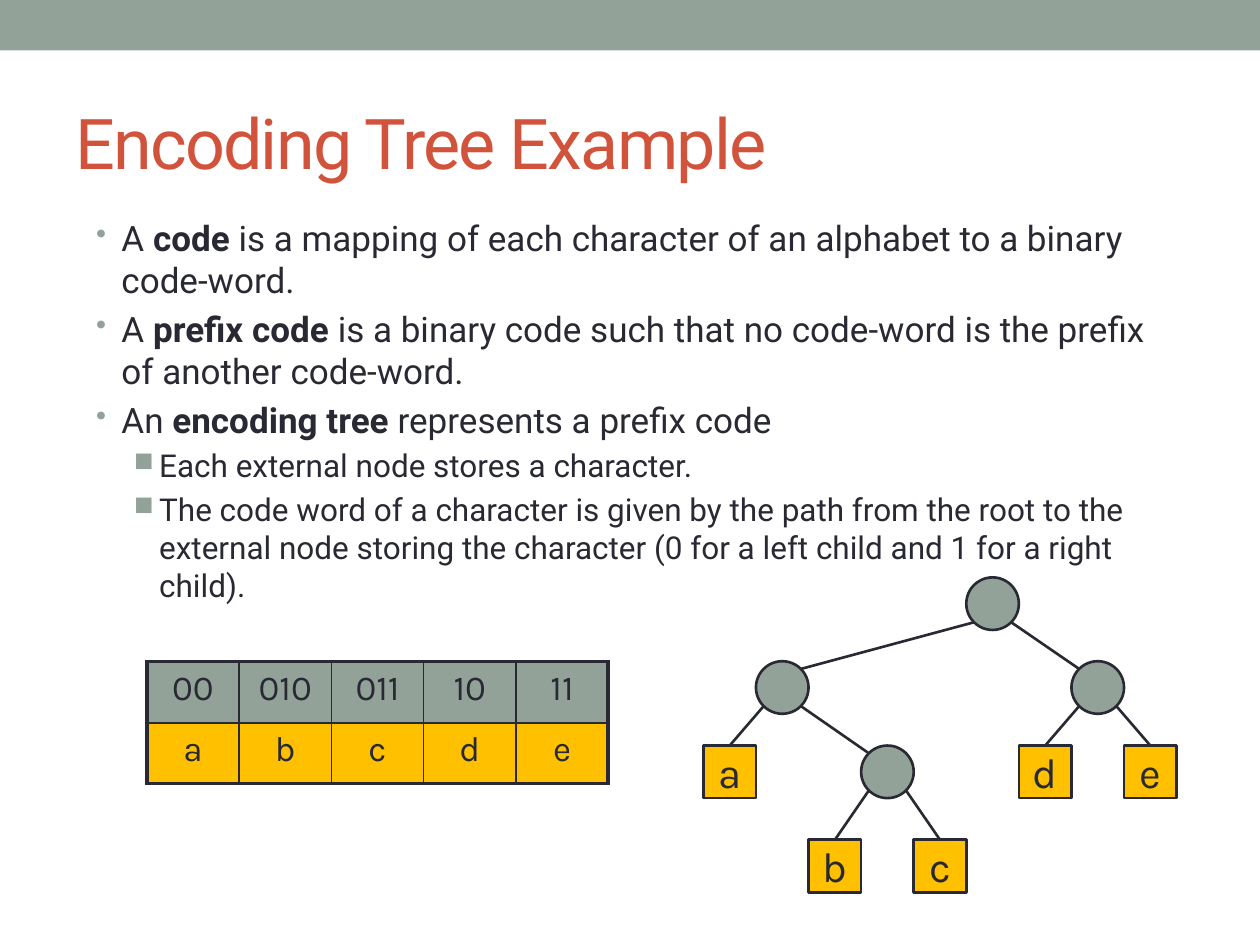
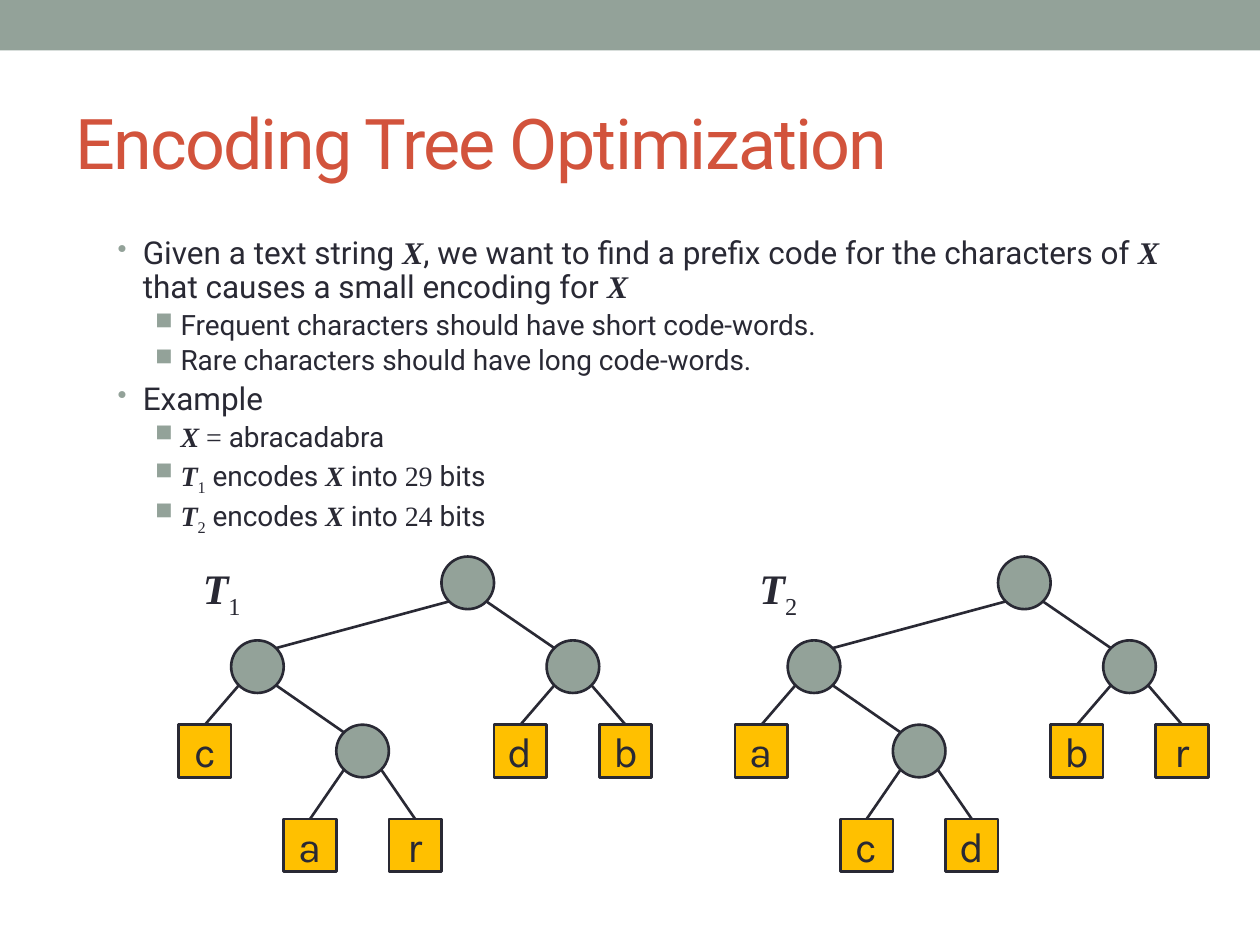
import dataclasses
import math

import lxml.etree
import pptx
import pptx.dml.color
import pptx.enum.shapes
import pptx.enum.text
import pptx.oxml.ns
import pptx.util

Cm, Pt = pptx.util.Cm, pptx.util.Pt
qn = pptx.oxml.ns.qn
ALIGN = pptx.enum.text.PP_ALIGN
ANCHOR = pptx.enum.text.MSO_ANCHOR
FIT = pptx.enum.text.MSO_AUTO_SIZE
SHAPE = pptx.enum.shapes.MSO_SHAPE
LINE = pptx.enum.shapes.MSO_CONNECTOR


@dataclasses.dataclass(frozen=True)
class Theme:
    sage: str = "93A299"
    ink: str = "292934"
    red: str = "D2533C"
    gold: str = "FFC000"
    sans: str = "Roboto"
    label: str = "Karla"
    serif: str = "Times New Roman"
    title: int = 40
    node: int = 24
    cell: int = 20
    edge: float = 1.5
    thin: float = 1
    thick: float = 2.25


T = Theme()

# Run styles: font values, plus "base" for subscripts
STYLES = {
    "": {"name": T.sans},
    "bold": {"name": T.sans, "bold": True},
    "var": {"name": T.serif, "bold": True, "italic": True},
    "math": {"name": T.serif},
    "sub": {"name": T.serif, "base": -25000},
}
BULLETS = (("•", 0.51), ("■", 1.27))  # mark and left margin for each level
HANG = 0.51

# Each point is a level and its runs; a run is plain text or (text, style)
X = ("X", "var")


def result(index, bits):
    return (1, [("T", "var"), (index, "sub"), " encodes ", X, " into ", (bits, "math"), " bits"])


CODES = {"00": "a", "010": "b", "011": "c", "10": "d", "11": "e"}
TABLE = {"left": 2.96, "top": 13.34, "col": 1.86, "row": 1.23}

# A tree is a (left, right) pair, a leaf is its letter
SLIDES = [
    {
        "title": "Encoding Tree Example",
        "box": (1.69, 4.23, 22.23, 8.26),
        "sizes": (20, 18),
        "spacing": 1.0,
        "points": [
            (0, ["A ", ("code", "bold"),
                 " is a mapping of each character of an alphabet to a binary code-word."]),
            (0, ["A ", ("prefix code", "bold"),
                 " is a binary code such that no code-word is the prefix of another code-word."]),
            (0, ["An ", ("encoding tree", "bold"), " represents a prefix code"]),
            (1, ["Each external node stores a character."]),
            (1, ["The code word of a character is given by the path from the root to the external "
                 "node storing the character (0 for a left child and 1 for a right child)."]),
        ],
        "trees": [{"at": (14.18, 11.64), "root": (("a", ("b", "c")), ("d", "e"))}],
        "codes": CODES,
    },
    {
        "title": "Encoding Tree Optimization",
        "box": (2.12, 4.66, 21.59, 6.35),
        "sizes": (18, 16),
        "spacing": 0.9,
        "points": [
            (0, ["Given a text string ", X, ", we want to find a prefix code for the characters of ",
                 X, " that causes a small encoding for ", X]),
            (1, ["Frequent characters should have short code-words."]),
            (1, ["Rare characters should have long code-words."]),
            (0, ["Example"]),
            (1, [("X ", "var"), ("= ", "math"), "abracadabra"]),
            result("1", "29"),
            result("2", "24"),
        ],
        "trees": [
            {"at": (3.6, 11.22), "root": (("c", ("a", "r")), ("d", "b")), "index": "1"},
            {"at": (14.82, 11.22), "root": (("a", ("c", "d")), ("b", "r")), "index": "2"},
        ],
    },
]

NODE = 1.06  # node side, also the step between tree columns
ROWS = (0, 1.69, 3.39, 5.29)  # top of each tree level


def color(code):
    return pptx.dml.color.RGBColor.from_string(code)


def apply(thing, values):
    for key, value in values.items():
        setattr(thing, key, value)


def write(para, text, size, style, ink=T.ink):
    values = dict(style)
    base = values.pop("base", None)
    run = para.add_run()
    run.text = text
    apply(run.font, {"size": Pt(size), **values})
    run.font.color.rgb = color(ink)
    props = run._r.get_or_add_rPr()
    if base:
        props.set("baseline", str(base))
    return props


def textbox(slide, box, **values):
    frame = slide.shapes.add_textbox(*map(Cm, box)).text_frame
    apply(frame, {"word_wrap": True, **values})
    return frame


def block(shapes, kind, box, fill, edge=None):
    """Add a flat filled shape, outlined when edge is a width."""
    shape = shapes.add_shape(kind, *map(Cm, box))
    shape.shadow.inherit = False
    shape.fill.solid()
    shape.fill.fore_color.rgb = color(fill)
    if edge:
        shape.line.color.rgb = color(T.ink)
        shape.line.width = Pt(edge)
    else:
        shape.line.fill.background()
    return shape


def bullet(para, level):
    mark, left = BULLETS[level]
    props = para._p.get_or_add_pPr()
    props.set("marL", str(Cm(left)))
    props.set("indent", str(-Cm(HANG)))
    tint = lxml.etree.SubElement(props, qn("a:buClr"))
    lxml.etree.SubElement(tint, qn("a:srgbClr"), val=T.sage)
    lxml.etree.SubElement(props, qn("a:buSzPct"), val="85000")
    lxml.etree.SubElement(props, qn("a:buChar"), char=mark)


def outline(slide, data):
    """Write the bulleted points of a slide."""
    frame = textbox(slide, data["box"])
    for num, (level, runs) in enumerate(data["points"]):
        para = frame.add_paragraph() if num else frame.paragraphs[0]
        size = data["sizes"][level]
        apply(para, {"level": level, "line_spacing": data["spacing"],
                     "space_before": Pt(size * 0.2)})
        bullet(para, level)
        for run in runs:
            text, style = (run, "") if isinstance(run, str) else run
            write(para, text, size, STYLES[style])


def link(group, start, end):
    edge = group.add_connector(LINE.STRAIGHT, *map(Cm, start + end))
    edge.line.color.rgb = color(T.ink)
    edge.line.width = Pt(T.edge)
    lxml.etree.SubElement(edge._element.spPr, qn("a:effectLst"))


def leaf(group, box, letter):
    frame = block(group, SHAPE.RECTANGLE, box, T.gold, T.edge).text_frame
    apply(frame, {"word_wrap": False, "vertical_anchor": ANCHOR.MIDDLE})
    para = frame.paragraphs[0]
    para.alignment = ALIGN.CENTER
    write(para, letter, T.node, {"name": T.label})


def grow(group, node, at, col=0, depth=0):
    """Draw a subtree in order; return its node's centre and the next free column."""
    inner = not isinstance(node, str)
    if inner:
        left, col = grow(group, node[0], at, col, depth + 1)
    x, y = at[0] + col * NODE, at[1] + ROWS[depth]
    box = (x, y, NODE, NODE)
    mid = (x + NODE / 2, y + NODE / 2)
    if not inner:
        leaf(group, box, node)
        return mid, col + 1
    block(group, SHAPE.OVAL, box, T.sage, T.edge)
    right, last = grow(group, node[1], at, col + 1, depth + 1)
    reach = NODE / 2 * math.sqrt(0.5)
    for child, end, side in zip(node, (left, right), (-1, 1)):
        start = (mid[0] + side * reach, mid[1] + reach)
        if isinstance(child, str):
            end = (end[0], end[1] - NODE / 2)
        else:
            end = (end[0] - side * reach, end[1] - reach)
        link(group, start, end)
    return mid, last


def tree(slide, data):
    x, y = data["at"]
    grow(slide.shapes.add_group_shape().shapes, data["root"], (x, y))
    if "index" in data:
        frame = textbox(slide, (x + 0.21, y, 1.32, 1.27), word_wrap=False,
                        auto_size=FIT.SHAPE_TO_FIT_TEXT)
        para = frame.paragraphs[0]
        para.alignment = ALIGN.CENTER
        write(para, "T", T.node, STYLES["var"])
        write(para, data["index"], T.node, STYLES["sub"])


def border(cell, thick):
    """Rule all four sides, heavier on the sides named in thick."""
    props = cell._tc.get_or_add_tcPr()
    for num, side in enumerate("LRTB"):
        width = T.thick if side in thick else T.thin
        rule = lxml.etree.Element(qn(f"a:ln{side}"), w=str(Pt(width)))
        fill = lxml.etree.SubElement(rule, qn("a:solidFill"))
        lxml.etree.SubElement(fill, qn("a:srgbClr"), val=T.ink)
        props.insert(num, rule)


def table(slide, codes):
    rows = ((list(codes), T.sage, "T"), (list(codes.values()), T.gold, "B"))
    count = len(codes)
    size = (TABLE["col"] * count, TABLE["row"] * len(rows))
    grid = slide.shapes.add_table(len(rows), count, Cm(TABLE["left"]), Cm(TABLE["top"]),
                                  *map(Cm, size)).table
    apply(grid, {"first_row": False, "horz_banding": False})
    for r, (words, fill, side) in enumerate(rows):
        for c, word in enumerate(words):
            cell = grid.cell(r, c)
            cell.fill.solid()
            cell.fill.fore_color.rgb = color(fill)
            border(cell, side + "L" * (c == 0) + "R" * (c == count - 1))
            para = cell.text_frame.paragraphs[0]
            apply(para, {"alignment": ALIGN.CENTER, "space_before": Pt(T.cell * 0.2)})
            write(para, word, T.cell, {"name": T.label})


def start(deck, title):
    """Add a blank slide with the top band and the title."""
    slide = deck.slides.add_slide(deck.slide_layouts[6])
    block(slide.shapes, SHAPE.RECTANGLE, (0, 0, 25.4, 1.02), T.sage)
    frame = textbox(slide, (1.27, 1.48, 22.86, 2.75), vertical_anchor=ANCHOR.MIDDLE)
    write(frame.paragraphs[0], title, T.title, STYLES[""], T.red).set("spc", "-100")
    return slide


def main():
    deck = pptx.Presentation()
    apply(deck, {"slide_width": Cm(25.4), "slide_height": Cm(19.05)})
    for data in SLIDES:
        slide = start(deck, data["title"])
        outline(slide, data)
        for item in data["trees"]:
            tree(slide, item)
        if "codes" in data:
            table(slide, data["codes"])
    deck.save("out.pptx")


if __name__ == "__main__":
    main()
